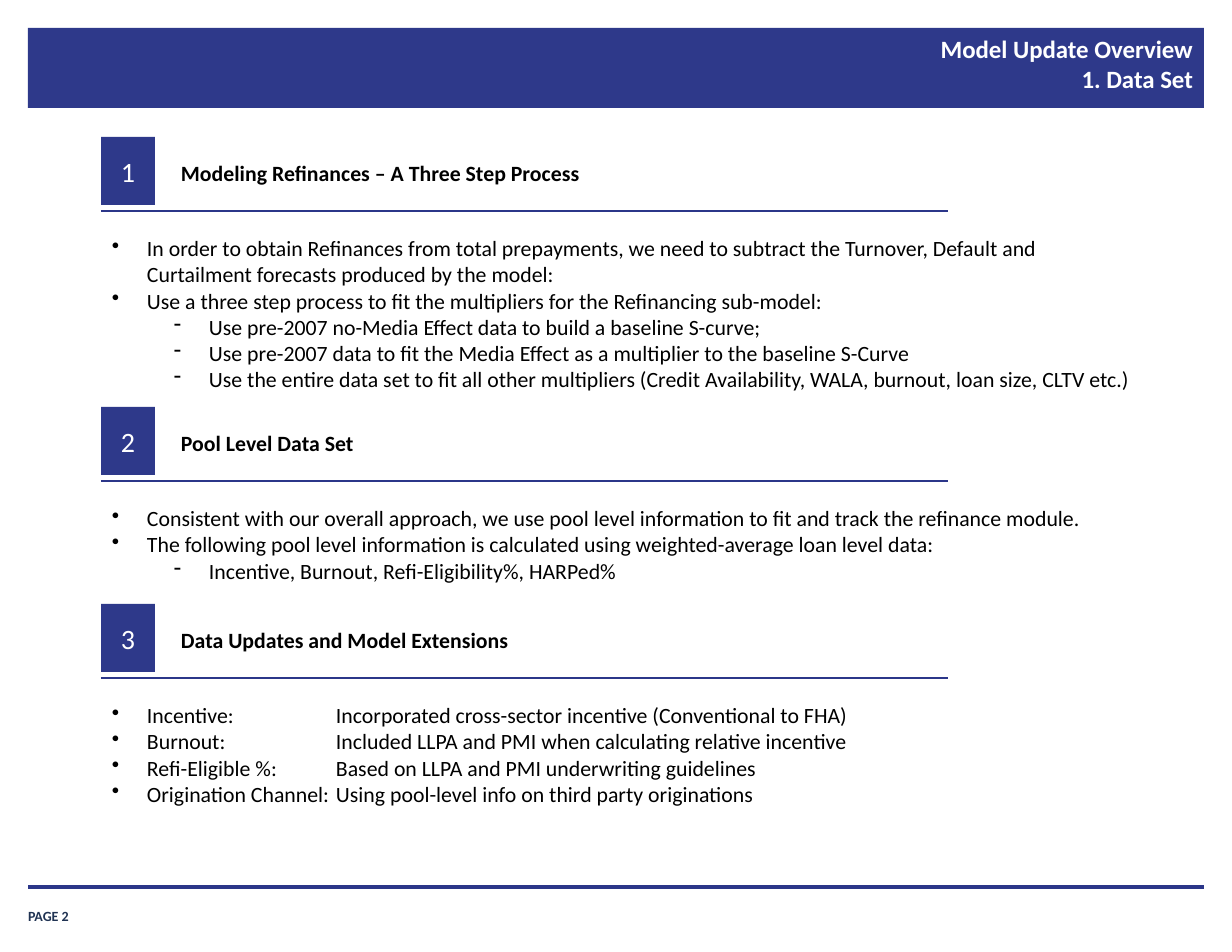
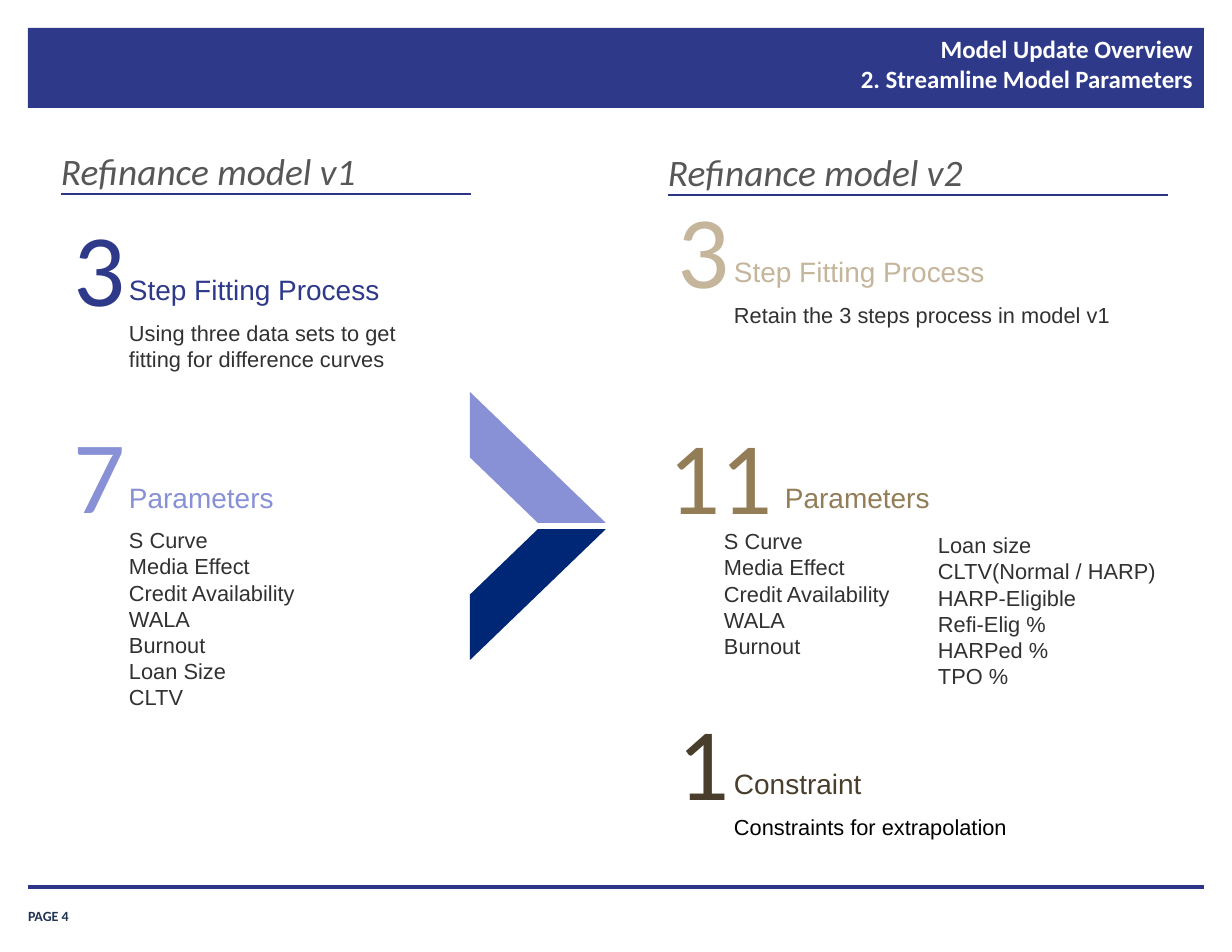
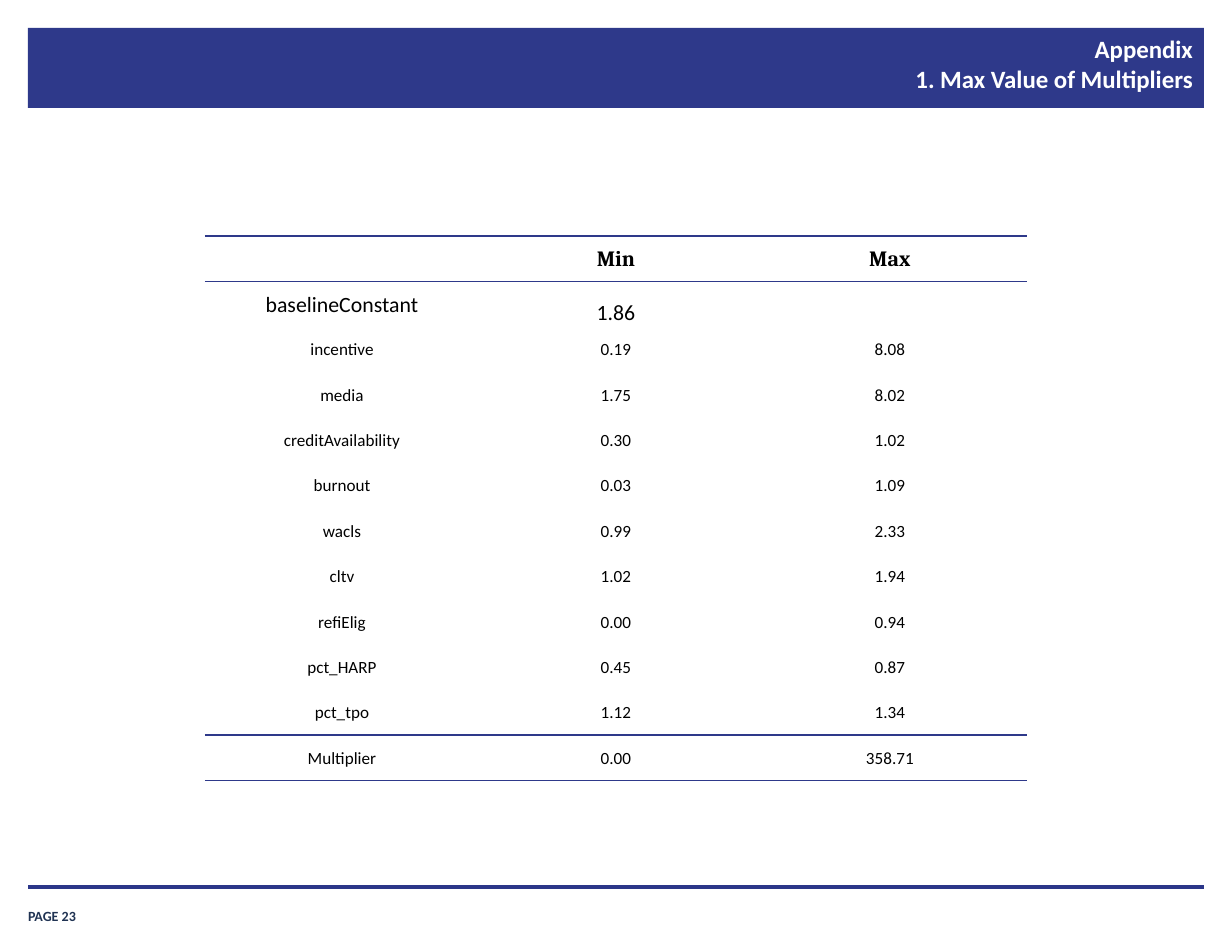
from copy import deepcopy

from lxml import etree
from pptx import Presentation
from pptx.dml.color import RGBColor
from pptx.enum.shapes import MSO_CONNECTOR, MSO_SHAPE
from pptx.enum.text import MSO_ANCHOR, PP_ALIGN
from pptx.oxml.ns import qn
from pptx.util import Emu, Pt

RECTANGLE, STRIPE = MSO_SHAPE.RECTANGLE, MSO_SHAPE.DIAGONAL_STRIPE
STRAIGHT = MSO_CONNECTOR.STRAIGHT
LEFT, CENTER, RIGHT = PP_ALIGN.LEFT, PP_ALIGN.CENTER, PP_ALIGN.RIGHT
TOP, MIDDLE, BOTTOM = MSO_ANCHOR.TOP, MSO_ANCHOR.MIDDLE, MSO_ANCHOR.BOTTOM

COLORS = {
    "band": "2E398A", "rule": "2B3689", "footer": "203353", "white": "FFFFFF",
    "black": "000000", "heading": "575757", "note": "313131", "navy": "002776",
    "lavender": "8891D5", "sand": "C4B59B", "tan": "937D57", "brown": "493E2B",
}
NO_GRID_STYLE = "{2D5ABB26-0587-4C30-8999-92F81FD0307C}"
HANGING, SUB_INDENT, TAB_STOP = 35, 97, 224
DEFAULT_INSETS = (11, 6, 11, 6)
CELL_INSETS = (1, 1, 1, 0)


def px(length):
    return Emu(round(length * 914400 / 112))


def rgb(name):
    return RGBColor.from_string(COLORS[name])


def style_runs(para, size, color, font="Calibri", bold=False, italic=False):
    for span in para.runs:
        span.font.size = Pt(size)
        span.font.name = font
        span.font.bold = bold
        span.font.italic = italic
        span.font.color.rgb = rgb(color)
    for line_break in para._p.findall(qn("a:br")):
        line_break.append(deepcopy(para.runs[0]._r.rPr))


def set_insets(holder, insets):
    (holder.margin_left, holder.margin_top,
     holder.margin_right, holder.margin_bottom) = map(px, insets)


def fill_frame(frame, lines, align=LEFT, anchor=TOP, insets=DEFAULT_INSETS, **style):
    frame.word_wrap = True
    frame.vertical_anchor = anchor
    set_insets(frame, insets)
    for index, line in enumerate(lines):
        para = frame.add_paragraph() if index else frame.paragraphs[0]
        para.text = line
        para.alignment = align
        style_runs(para, **style)


def add_text(shapes, box, lines, **options):
    text_box = shapes.add_textbox(*map(px, box))
    fill_frame(text_box.text_frame, lines, **options)
    return text_box


def add_filled(shapes, kind, box, color):
    shape = shapes.add_shape(kind, *map(px, box))
    shape.shadow.inherit = False
    shape.fill.solid()
    shape.fill.fore_color.rgb = rgb(color)
    shape.line.fill.background()
    return shape


def add_rule(shapes, left, top, width, weight):
    rule = shapes.add_connector(STRAIGHT, px(left), px(top), px(left + width), px(top))
    rule.line.color.rgb = rgb("rule")
    rule.line.width = Pt(weight)
    etree.SubElement(rule._element.spPr, qn("a:effectLst"))


def add_page(deck, title, number):
    """Add a slide with the title band and the footer that all slides share."""
    page = deck.slides.add_slide(deck.slide_layouts[6])
    shapes = page.shapes
    add_filled(shapes, RECTANGLE, (28, 28, 1176, 80), "band")
    add_text(shapes, (28, 898, 102, 26), [f"PAGE {number}"], anchor=BOTTOM,
             insets=(0, 0, 0, 0), size=9, color="footer", bold=True)
    add_rule(shapes, 28, 887, 1176, 2)
    add_text(shapes, (372, 27, 833, 83), [title], align=RIGHT,
             insets=(12, 7, 12, 7), size=16, color="white", bold=True)
    return page


def add_bullet(para, symbol, indent):
    props = para._p.get_or_add_pPr()
    props.set("marL", str(px(indent)))
    props.set("indent", str(-px(HANGING)))
    etree.SubElement(props, qn("a:buChar"), char=symbol)
    if "\t" in para.text:
        tabs = etree.SubElement(props, qn("a:tabLst"))
        etree.SubElement(tabs, qn("a:tab"), pos=str(px(TAB_STOP)), algn="l")


def add_section(page, left, top, height, number, heading, items):
    """Add a numbered heading over bullets; items pair a level with a text."""
    shapes = page.shapes.add_group_shape().shapes
    badge = add_filled(shapes, RECTANGLE, (left, top, 54, 68), "band")
    fill_frame(badge.text_frame, [str(number)], align=CENTER, anchor=MIDDLE,
               size=18, color="white")
    add_rule(shapes, left, top + 74, 847, 1)
    add_text(shapes, (left + 69, top + 17, 498, 38), [heading],
             size=14, color="black", bold=True)
    body = add_text(shapes, (left, top + 92, 1047, height),
                    [text for _, text in items], size=14, color="black")
    for para, (level, _) in zip(body.text_frame.paragraphs, items):
        para.level = level
        add_bullet(para, "•-"[level], SUB_INDENT if level else HANGING)


def add_version_heading(page, left, top, text, rule_width):
    add_rule(page.shapes, left, top + 46, rule_width, 0.75)
    add_text(page.shapes, (left, top, 623, 45), [text], insets=(0, 0, 0, 0),
             size=24, color="heading", italic=True)


def add_notes(shapes, left, top, width, lines, color="note"):
    add_text(shapes, (left, top, width, 12 + 26 * len(lines)), lines,
             size=14, color=color, font="Arial")


def add_count(page, left, top, number, label, color, lines,
              number_width=45, notes_width=332, notes_color="note"):
    """Add a large number with its label and the notes below."""
    shapes = page.shapes.add_group_shape().shapes
    add_text(shapes, (left, top, number_width, 124), [number], align=CENTER,
             insets=(0, 0, 0, 0), size=66, color=color)
    add_text(shapes, (left + number_width, top + 63, 310, 45), [label],
             size=18, color=color, font="Arial")
    add_notes(shapes, left + 45, top + 110, notes_width, lines, notes_color)


def add_arrow(page, left, top):
    shapes = page.shapes.add_group_shape().shapes
    add_filled(shapes, STRIPE, (left, top + 137, 136, 131), "navy")
    upper = add_filled(shapes, STRIPE, (left, top, 136, 131), "lavender")
    upper._element.spPr.xfrm.set("flipV", "1")


def add_border(cell, side):
    line = etree.Element(qn(f"a:{side}"), w=str(Pt(1)))
    fill = etree.SubElement(line, qn("a:solidFill"))
    etree.SubElement(fill, qn("a:srgbClr"), val=COLORS["band"])
    props = cell._tc.get_or_add_tcPr()
    props.insert(len(props.findall(qn("a:lnT"))), line)


def add_multiplier_table(page, box, rows):
    left, top, width, height = map(px, box)
    last = len(rows) - 1
    table = page.shapes.add_table(len(rows), len(rows[0]), left, top, width, height).table
    table.first_row = table.horz_banding = False
    table._tbl.tblPr.find(qn("a:tableStyleId")).text = NO_GRID_STYLE
    for column in table.columns:
        column.width = Emu(width // len(rows[0]))
    for row_index, values in enumerate(rows):
        table.rows[row_index].height = Emu(height // len(rows))
        for column_index, value in enumerate(values):
            cell = table.cell(row_index, column_index)
            cell.fill.background()
            set_insets(cell, CELL_INSETS)
            cell.vertical_anchor = BOTTOM if (row_index, column_index) == (1, 1) else MIDDLE
            para = cell.text_frame.paragraphs[0]
            para.text = value
            para.alignment = CENTER
            header = row_index == 0
            style_runs(para, 14 if row_index < 2 else 11, "black",
                       "Cambria" if header else "Calibri", header)
            if row_index in (0, last):
                add_border(cell, "lnT")
            if row_index in (0, last - 1, last):
                add_border(cell, "lnB")


def build_data_set(deck):
    page = add_page(deck, "Model Update Overview\n1. Data Set", 2)
    add_section(page, 101, 137, 169, 1, "Modeling Refinances – A Three Step Process", [
        (0, "In order to obtain Refinances from total prepayments, we need to subtract "
            "the Turnover, Default and Curtailment forecasts produced by the model:"),
        (0, "Use a three step process to fit the multipliers for the Refinancing sub-model:"),
        (1, "Use pre-2007 no-Media Effect data to build a baseline S-curve;"),
        (1, "Use pre-2007 data to fit the Media Effect as a multiplier to the baseline S-Curve"),
        (1, "Use the entire data set to fit all other multipliers "
            "(Credit Availability, WALA, burnout, loan size, CLTV etc.)"),
    ])
    add_section(page, 101, 407, 91, 2, "Pool Level Data Set", [
        (0, "Consistent with our overall approach, we use pool level information "
            "to fit and track the refinance module."),
        (0, "The following pool level information is calculated using "
            "weighted-average loan level data:"),
        (1, "Incentive, Burnout, Refi-Eligibility%, HARPed%"),
    ])
    add_section(page, 101, 604, 116, 3, "Data Updates and Model Extensions", [
        (0, "Incentive:\tIncorporated cross-sector incentive (Conventional to FHA)"),
        (0, "Burnout:\tIncluded LLPA and PMI when calculating relative incentive"),
        (0, "Refi-Eligible %:\tBased on LLPA and PMI underwriting guidelines"),
        (0, "Origination Channel:\tUsing pool-level info on third party originations"),
    ])


def build_parameters(deck):
    page = add_page(deck, "Model Update Overview\n2. Streamline Model Parameters", 4)
    shared = ["S Curve", "Media Effect", "Credit Availability", "WALA", "Burnout"]
    add_version_heading(page, 61, 148, "Refinance model v1", 410)
    add_count(page, 73, 204, "3", "Step Fitting Process", "band",
              ["Using three data sets to get fitting for difference curves"])
    add_count(page, 73, 411, "7", "Parameters", "lavender", shared + ["Loan Size", "CLTV"])
    add_arrow(page, 470, 392)
    add_version_heading(page, 668, 149, "Refinance model v2", 500)
    add_count(page, 678, 186, "3", "Step Fitting Process", "sand",
              ["Retain the 3 steps process in model v1"], notes_width=445)
    add_count(page, 668, 412, "11", "Parameters", "tan", shared, number_width=106)
    add_notes(page.shapes, 927, 526, 332, [
        "Loan size", "CLTV(Normal / HARP)", "HARP-Eligible", "Refi-Elig %", "HARPed %", "TPO %"])
    add_count(page, 678, 698, "1", "Constraint", "brown",
              ["Constraints for extrapolation"], notes_color="black")


def build_multipliers(deck):
    page = add_page(deck, "Appendix\n1. Max Value of Multipliers", 23)
    add_multiplier_table(page, (205, 236, 822, 545), [
        ("", "Min", "Max"),
        ("baselineConstant", "1.86", ""),
        ("incentive", "0.19", "8.08"),
        ("media", "1.75", "8.02"),
        ("creditAvailability", "0.30", "1.02"),
        ("burnout", "0.03", "1.09"),
        ("wacls", "0.99", "2.33"),
        ("cltv", "1.02", "1.94"),
        ("refiElig", "0.00", "0.94"),
        ("pct_HARP", "0.45", "0.87"),
        ("pct_tpo", "1.12", "1.34"),
        ("Multiplier", "0.00", "358.71"),
    ])


def main():
    deck = Presentation()
    deck.slide_width, deck.slide_height = px(1232), px(952)
    build_data_set(deck)
    build_parameters(deck)
    build_multipliers(deck)
    deck.save("out.pptx")


if __name__ == "__main__":
    main()
